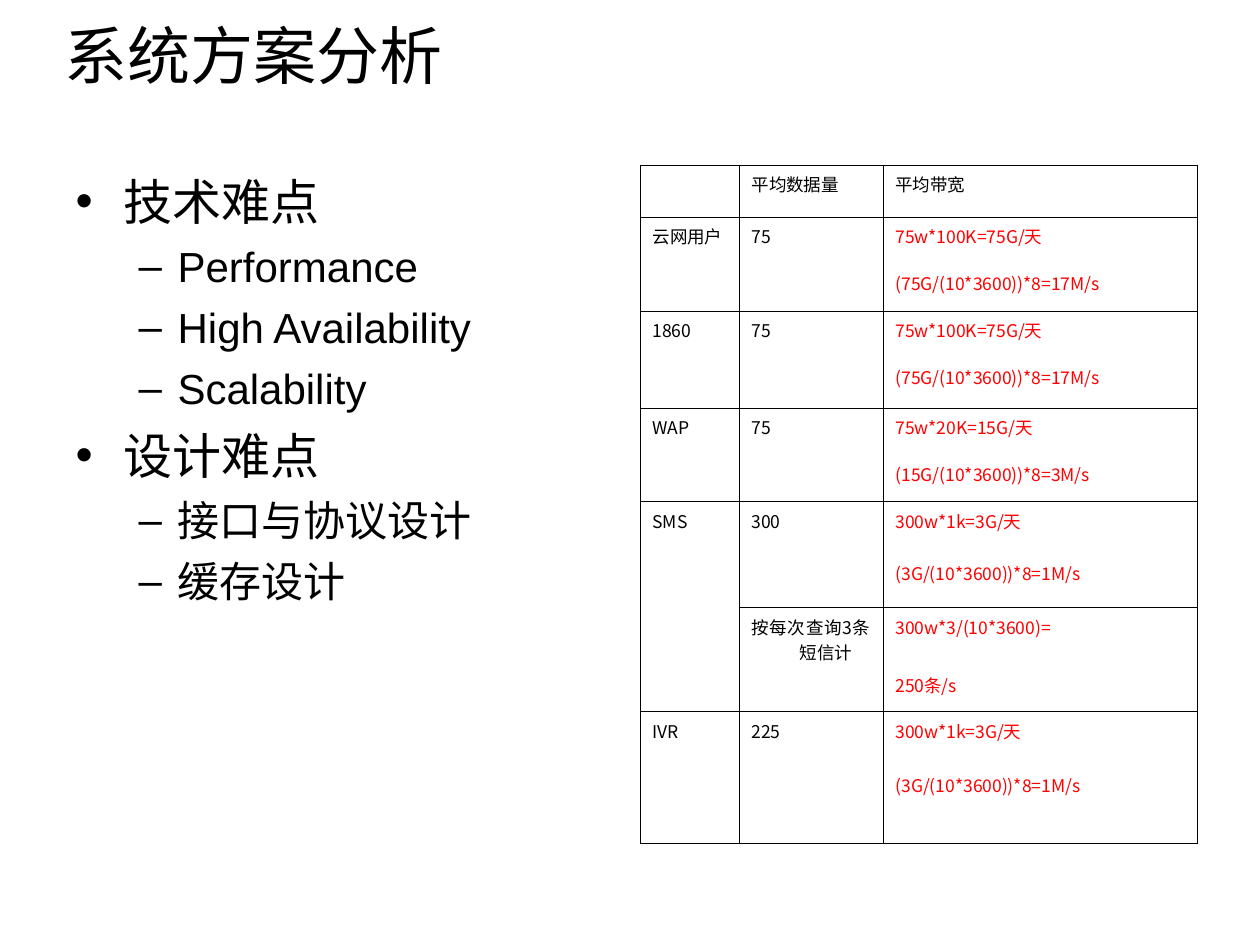
"""Build a slide with a list of design difficulties and a traffic estimate table."""
from lxml.etree import SubElement
from pptx import Presentation
from pptx.dml.color import RGBColor
from pptx.enum.text import MSO_ANCHOR as Anchor, MSO_AUTO_SIZE as AutoSize, PP_ALIGN as Align
from pptx.oxml.ns import qn
from pptx.util import Emu, Pt

BLACK = RGBColor(0, 0, 0)
RED = RGBColor(255, 0, 0)
LATIN_FONT, CHINESE_FONT = "Arial", "Noto Sans CJK SC"
PX = 914400 / 126

TITLE = "系统方案分析"
DIFFICULTIES = [
    ("技术难点", ["Performance", "High Availability", "Scalability"]),
    ("设计难点", ["接口与协议设计", "缓存设计"]),
]
LEVEL_STYLES = [(28, 7, 48, -48), (24, 6, 102, -39)]

HEADER = ["", "平均数据量", "平均带宽"]
HEADER_HEIGHT = 52
COLUMN_WIDTHS = [99, 144, 314]
CHANNELS = [
    ("云网用户", [("75", ["75w*100K=75G/天", "(75G/(10*3600))*8=17M/s"], [47, 47])]),
    ("1860", [("75", ["75w*100K=75G/天", "(75G/(10*3600))*8=17M/s"], [47, 50])]),
    ("WAP", [("75", ["75w*20K=15G/天", "(15G/(10*3600))*8=3M/s"], [47, 47])]),
    ("SMS", [
        ("300", ["300w*1k=3G/天", "(3G/(10*3600))*8=1M/s"], [52, 54]),
        ("按每次查询3条短信计", ["300w*3/(10*3600)=", "250条/s"], [58, 46]),
    ]),
    ("IVR", [("225", ["300w*1k=3G/天", "(3G/(10*3600))*8=1M/s"], [54, 78])]),
]


def px(length):
    return Emu(round(length * PX))


def place(shape, left, top, width, height):
    shape.left, shape.top = px(left), px(top)
    shape.width, shape.height = px(width), px(height)


def add_run(paragraph, text, size, font_name, color=BLACK):
    run = paragraph.add_run()
    run.text = text
    run.font.size = Pt(size)
    run.font.name = font_name
    run.font.color.rgb = color
    SubElement(run.font._element, qn("a:ea"), typeface=CHINESE_FONT)


def set_indent(paragraph, margin, indent):
    properties = paragraph._p.get_or_add_pPr()
    properties.set("marL", str(px(margin)))
    properties.set("indent", str(px(indent)))


def fill_title(title):
    place(title, 52, -24, 1134, 157)
    frame = title.text_frame
    frame.auto_size = AutoSize.NONE
    frame.vertical_anchor = Anchor.MIDDLE
    paragraph = frame.paragraphs[0]
    paragraph.alignment = Align.LEFT
    add_run(paragraph, TITLE, 36, LATIN_FONT)


def fill_body(body):
    place(body, 63, 165, 557, 679)
    frame = body.text_frame
    frame.auto_size = AutoSize.NONE
    lines = []
    for heading, items in DIFFICULTIES:
        lines += [(0, heading)] + [(1, item) for item in items]
    for number, (level, text) in enumerate(lines):
        size, space, margin, indent = LEVEL_STYLES[level]
        paragraph = frame.add_paragraph() if number else frame.paragraphs[0]
        paragraph.level = level
        paragraph.space_before = Pt(space if number else 0)
        set_indent(paragraph, margin, indent)
        add_run(paragraph, text, size, LATIN_FONT)


def set_borders(cell, hidden_side=None):
    properties = cell._tc.get_or_add_tcPr()
    for side in ("lnL", "lnR", "lnT", "lnB"):
        line = SubElement(properties, qn(f"a:{side}"), w=str(Pt(0.45)))
        if side == hidden_side:
            SubElement(line, qn("a:noFill"))
        else:
            fill = SubElement(line, qn("a:solidFill"))
            SubElement(fill, qn("a:srgbClr"), val=str(BLACK))
    cell.fill.background()


def fill_cell(cell, text, color=BLACK):
    paragraph = cell.text_frame.paragraphs[0]
    if text:
        paragraph.alignment = Align.JUSTIFY
        set_indent(paragraph, 48, -48)
        add_run(paragraph, text, 10, CHINESE_FONT, color)
    else:
        SubElement(paragraph._p, qn("a:endParaRPr"), sz="1000")


def add_traffic_table(slide):
    rows, heights, merges = [HEADER], [HEADER_HEIGHT], []
    for channel, estimates in CHANNELS:
        merges.append((len(rows), 0, 2 * len(estimates)))
        for number, (amount, bandwidths, pair_heights) in enumerate(estimates):
            merges.append((len(rows), 1, 2))
            rows.append(["" if number else channel, amount, bandwidths[0]])
            rows.append(["", "", bandwidths[1]])
            heights += pair_heights

    frame = slide.shapes.add_table(len(rows), len(HEADER), px(640), px(165),
                                   px(sum(COLUMN_WIDTHS)), px(sum(heights)))
    table = frame.table
    table.first_row = table.horz_banding = False
    for column, width in zip(table.columns, COLUMN_WIDTHS):
        column.width = px(width)
    for row, height in zip(table.rows, heights):
        row.height = px(height)

    for row, texts in enumerate(rows):
        for column, text in enumerate(texts):
            cell = table.cell(row, column)
            in_bandwidth = row > 0 and column == 2
            fill_cell(cell, text, RED if in_bandwidth else BLACK)
            inner_side = "lnB" if row % 2 else "lnT"
            set_borders(cell, inner_side if in_bandwidth else None)
    for row, column, span in merges:
        table.cell(row, column).merge(table.cell(row + span - 1, column))


def main():
    presentation = Presentation()
    presentation.slide_width, presentation.slide_height = px(1260), px(945)
    slide = presentation.slides.add_slide(presentation.slide_layouts[1])
    fill_title(slide.shapes.title)
    fill_body(slide.placeholders[1])
    add_traffic_table(slide)
    presentation.save("out.pptx")


if __name__ == "__main__":
    main()
